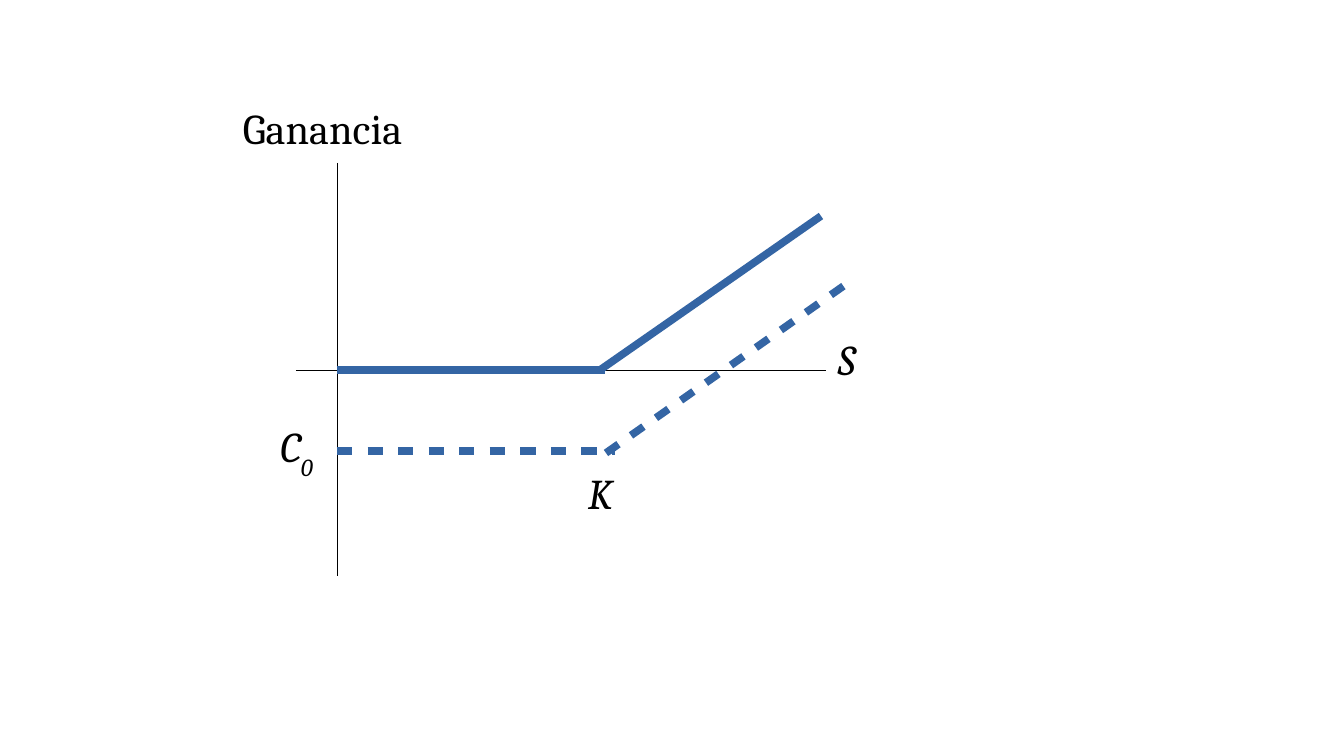
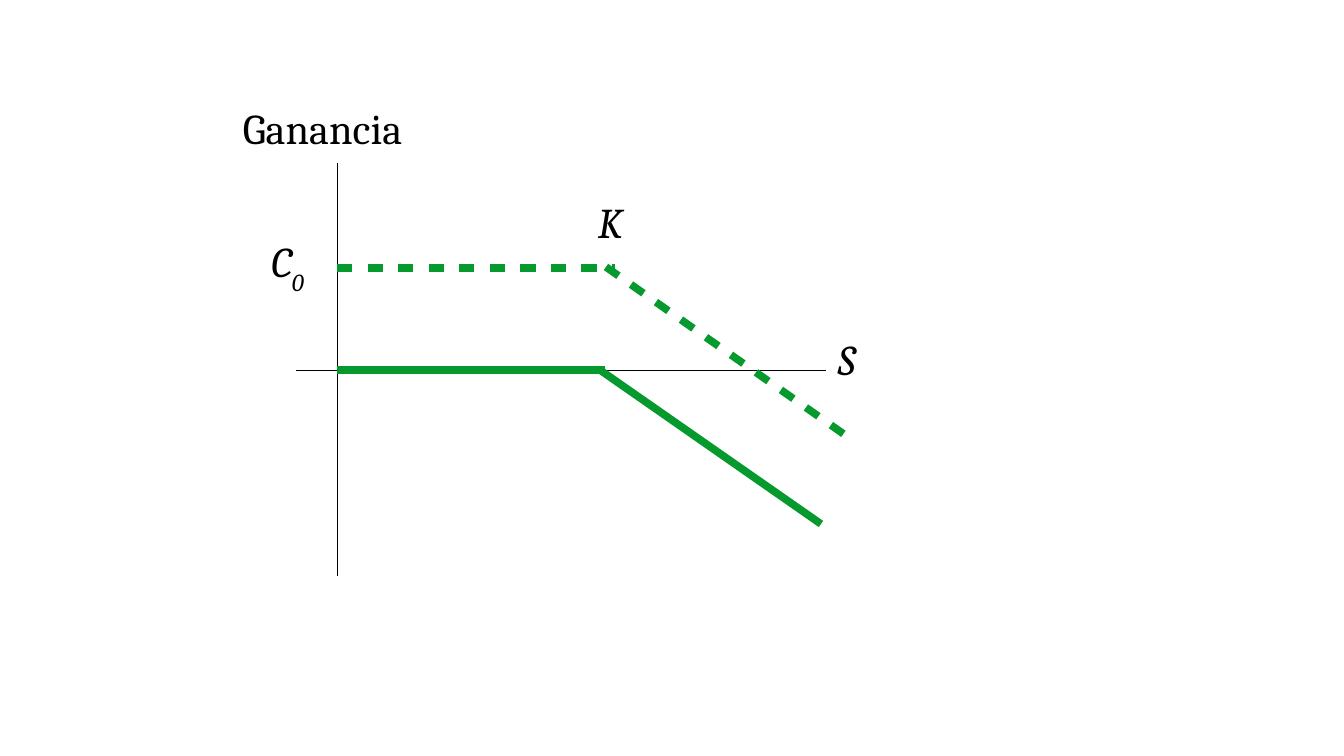
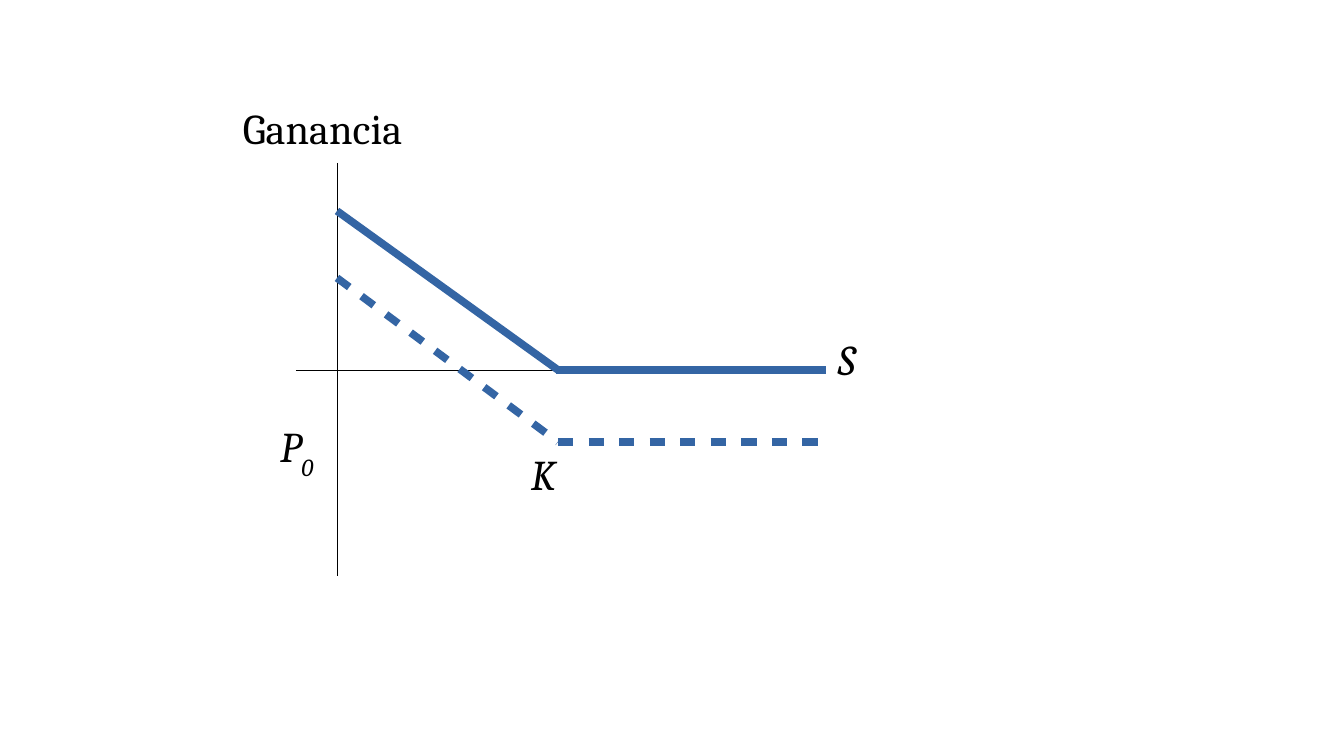
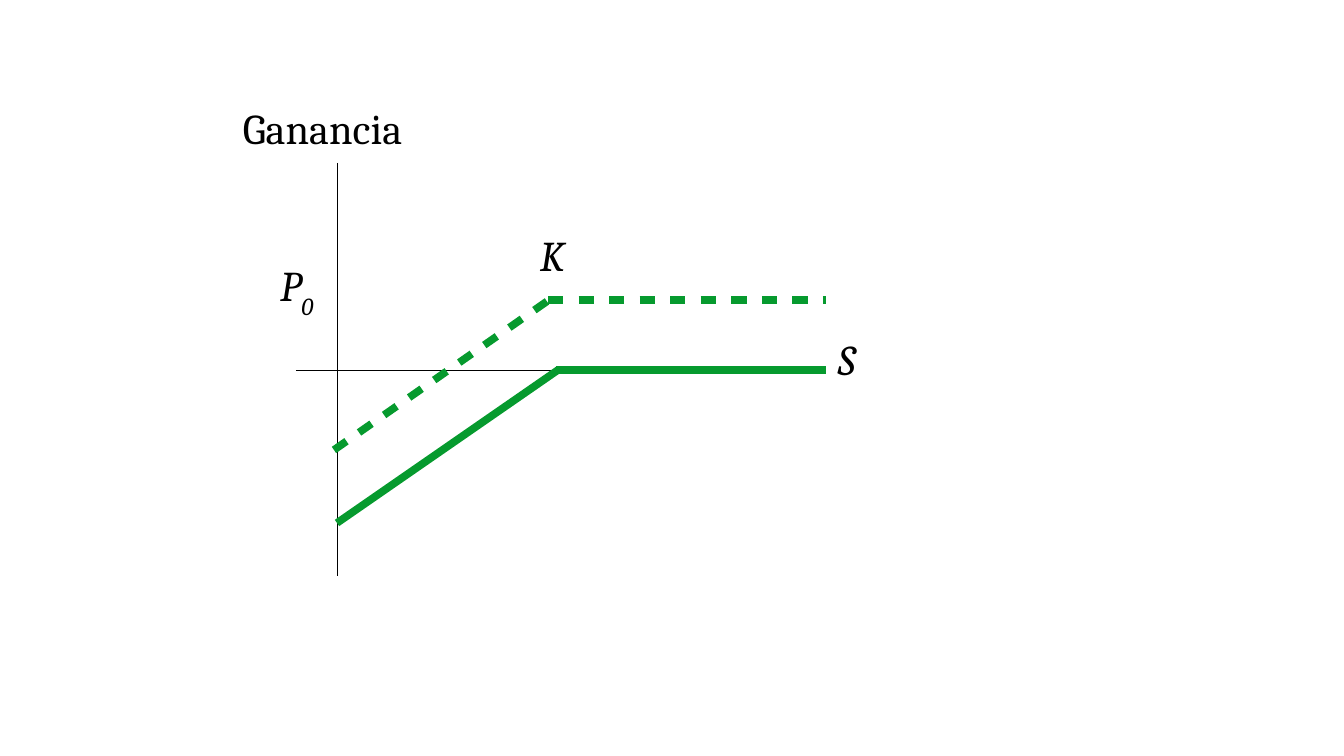
from dataclasses import dataclass

import pptx
import pptx.dml.color
import pptx.enum.shapes
import pptx.enum.text
import pptx.oxml
import pptx.oxml.ns
import pptx.presentation
import pptx.slide
import pptx.util

EMU_PER_PX = 7495


@dataclass(frozen=True)
class Theme:
    ink: str = "000000"
    long_position: str = "3465A4"
    short_position: str = "069A2E"
    font: str = "Cambria"
    label_size: float = 25
    axis_width: float = 0.5
    payoff_width: float = 4.5
    subscript: int = -33000
    dash_percent: int = 200000


@dataclass(frozen=True)
class Line:
    x1: int
    y1: int
    x2: int
    y2: int


@dataclass(frozen=True)
class Label:
    text: str
    left: int
    top: int
    width: int
    height: int
    italic: bool = True
    subscript: str = ""


@dataclass(frozen=True)
class Diagram:
    color: str
    strike: Label
    premium: Label
    payoff: tuple[Line, Line]
    profit: tuple[Line, Line]


THEME = Theme()

PAGE_WIDTH, PAGE_HEIGHT = 1344, 756
AXIS_X, AXIS_Y = 337, 370
AXIS_LEFT, AXIS_RIGHT = 296, 826
AXES = (
    Line(AXIS_X, 163, AXIS_X, 576),
    Line(AXIS_LEFT, AXIS_Y, AXIS_RIGHT, AXIS_Y),
)
GAIN_LABEL = Label("Ganancia", 231, 96, 211, 99, italic=False)
PRICE_LABEL = Label("S", AXIS_RIGHT, 327, 49, 124)

CALL_FLAT = Line(AXIS_X, AXIS_Y, 605, AXIS_Y)
PUT_FLAT = Line(556, AXIS_Y, AXIS_RIGHT, AXIS_Y)


def strike_label(left: int, top: int) -> Label:
    return Label("K", left, top, 49, 77)


def premium_label(text: str, left: int, top: int, height: int = 140) -> Label:
    return Label(text, left, top, 77, height, subscript="0")


DIAGRAMS = (
    Diagram(
        THEME.long_position,
        strike_label(576, 461),
        premium_label("C", 268, 414),
        (CALL_FLAT, Line(600, AXIS_Y, 821, 216)),
        (Line(AXIS_X, 451, 615, 451), Line(606, 453, 855, 278)),
    ),
    Diagram(
        THEME.short_position,
        strike_label(586, 190),
        premium_label("C", 259, 229),
        (CALL_FLAT, Line(600, AXIS_Y, 821, 524)),
        (Line(AXIS_X, 268, 615, 268), Line(606, 267, 855, 442)),
    ),
    Diagram(
        THEME.long_position,
        strike_label(519, 442),
        premium_label("P", 268, 414, 81),
        (PUT_FLAT, Line(AXIS_X, 211, 558, AXIS_Y)),
        (Line(558, 442, AXIS_RIGHT, 442), Line(AXIS_X, 278, 558, 442)),
    ),
    Diagram(
        THEME.short_position,
        strike_label(528, 223),
        premium_label("P", 268, 253),
        (PUT_FLAT, Line(AXIS_X, 523, 558, AXIS_Y)),
        (Line(548, 300, AXIS_RIGHT, 300), Line(334, 450, 549, 300)),
    ),
)


def px(length: int) -> pptx.util.Emu:
    return pptx.util.Emu(length * EMU_PER_PX)


def rgb(color: str) -> pptx.dml.color.RGBColor:
    return pptx.dml.color.RGBColor.from_string(color)


def draw_line(
    page: pptx.slide.Slide, line: Line, color: str, width: float, dashed: bool = False
) -> None:
    connector = page.shapes.add_connector(
        pptx.enum.shapes.MSO_CONNECTOR.STRAIGHT,
        px(line.x1), px(line.y1), px(line.x2), px(line.y2),
    )
    connector.line.color.rgb = rgb(color)
    connector.line.width = pptx.util.Pt(width)
    properties = connector.element.spPr
    if dashed:
        outline = properties.find(pptx.oxml.ns.qn("a:ln"))
        outline.append(pptx.oxml.parse_xml(
            f'<a:custDash {pptx.oxml.ns.nsdecls("a")}>'
            f'<a:ds d="{THEME.dash_percent}" sp="{THEME.dash_percent}"/></a:custDash>'
        ))
    properties.append(
        pptx.oxml.parse_xml(f'<a:effectLst {pptx.oxml.ns.nsdecls("a")}/>')
    )


def draw_label(page: pptx.slide.Slide, label: Label) -> None:
    box = page.shapes.add_textbox(
        px(label.left), px(label.top), px(label.width), px(label.height)
    )
    frame = box.text_frame
    frame.word_wrap = True
    frame.auto_size = pptx.enum.text.MSO_AUTO_SIZE.SHAPE_TO_FIT_TEXT
    para = frame.paragraphs[0]
    for text, baseline in ((label.text, 0), (label.subscript, THEME.subscript)):
        if not text:
            continue
        span = para.add_run()
        span.text = text
        span.font.name = THEME.font
        span.font.size = pptx.util.Pt(THEME.label_size)
        span.font.italic = label.italic
        span.font.color.rgb = rgb(THEME.ink)
        if baseline:
            span._r.get_or_add_rPr().set("baseline", str(baseline))


def draw_diagram(deck: pptx.presentation.Presentation, diagram: Diagram) -> None:
    page = deck.slides.add_slide(deck.slide_layouts[6])
    for axis in AXES:
        draw_line(page, axis, THEME.ink, THEME.axis_width)
    for label in (diagram.strike, GAIN_LABEL, PRICE_LABEL, diagram.premium):
        draw_label(page, label)
    for lines, dashed in ((diagram.payoff, False), (diagram.profit, True)):
        for line in lines:
            draw_line(page, line, diagram.color, THEME.payoff_width, dashed)


def main() -> None:
    deck = pptx.Presentation()
    deck.slide_width, deck.slide_height = px(PAGE_WIDTH), px(PAGE_HEIGHT)
    for diagram in DIAGRAMS:
        draw_diagram(deck, diagram)
    deck.save("out.pptx")


if __name__ == "__main__":
    main()
